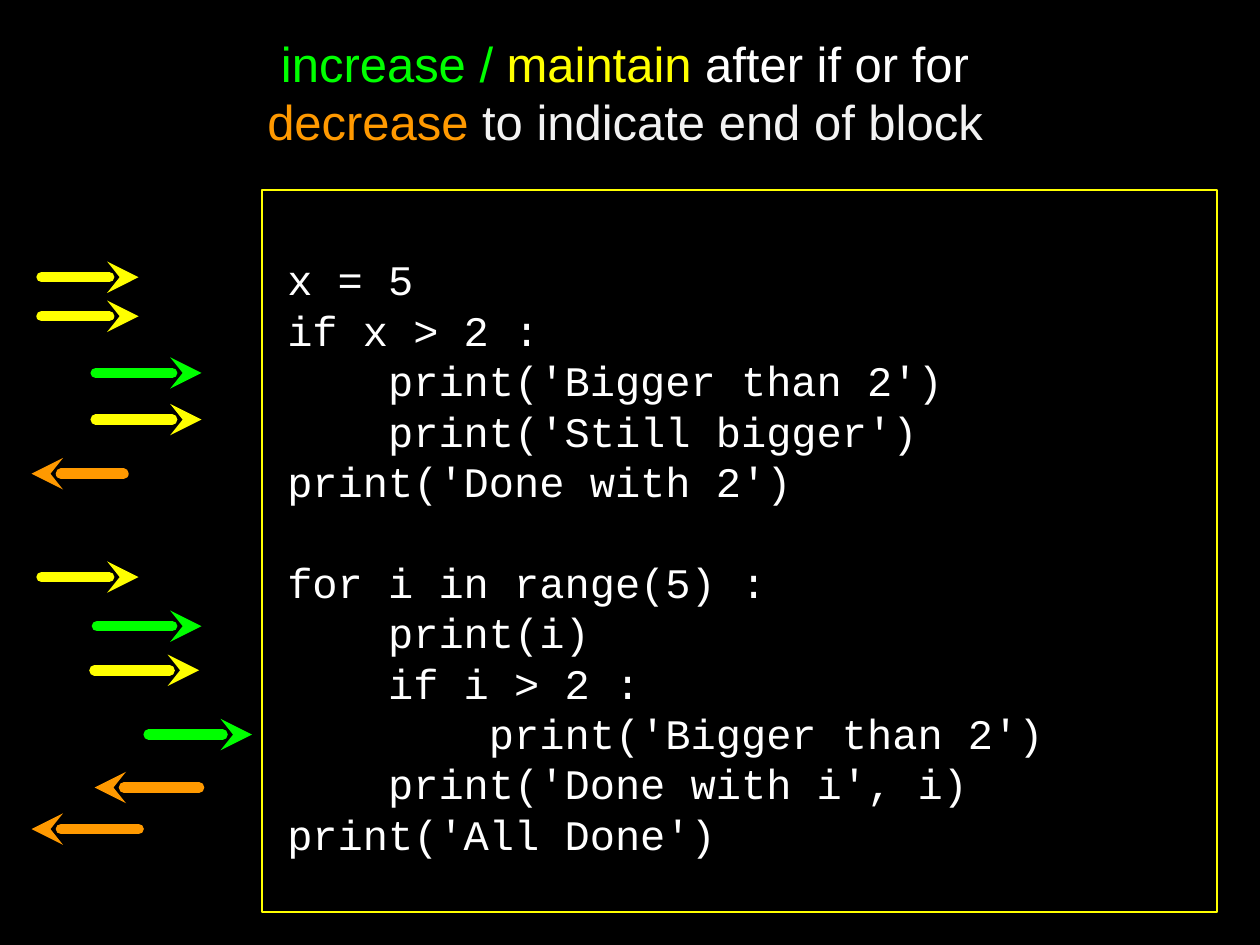
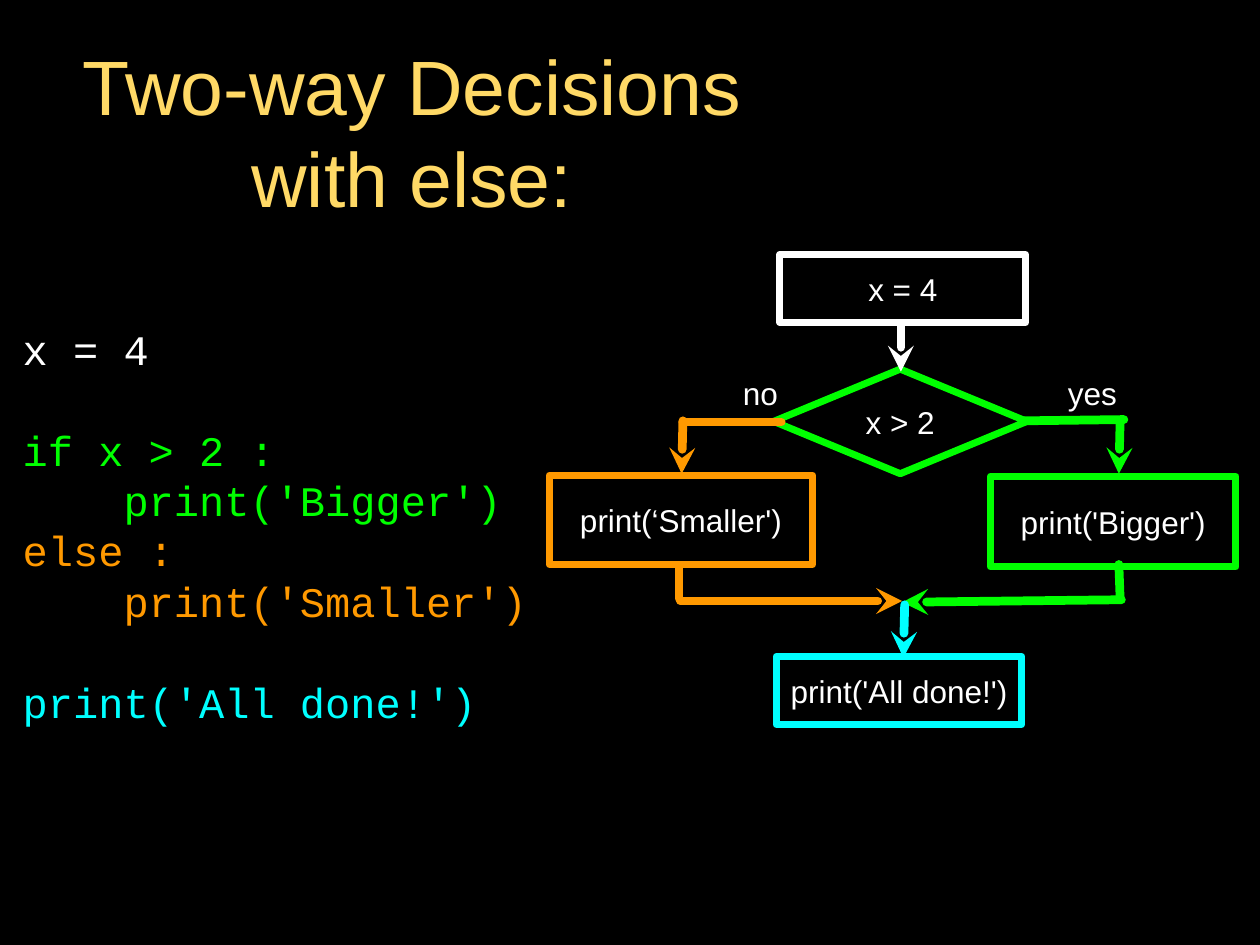
from lxml import etree
from pptx import Presentation
from pptx.dml.color import RGBColor
from pptx.enum.shapes import MSO_CONNECTOR, MSO_SHAPE
from pptx.enum.text import MSO_ANCHOR, PP_ALIGN
from pptx.oxml.ns import qn
from pptx.util import Pt

PX = 9144  # EMU in one px, 100 px to the inch
LINE_HEIGHT = 1.2
CODE_DROP = 8

BLACK = RGBColor(0x00, 0x00, 0x00)
WHITE = RGBColor(0xFF, 0xFF, 0xFF)
PALE_GREY = RGBColor(0xF3, 0xF3, 0xF3)
GOLD = RGBColor(0xFF, 0xD9, 0x66)
YELLOW = RGBColor(0xFF, 0xFF, 0x00)
GREEN = RGBColor(0x00, 0xFF, 0x00)
ORANGE = RGBColor(0xFF, 0x99, 0x00)
CYAN = RGBColor(0x00, 0xFF, 0xFF)

SANS = "Arial"
MONO = "Courier New"
LEFT = PP_ALIGN.LEFT
CENTER = PP_ALIGN.CENTER
MIDDLE = MSO_ANCHOR.MIDDLE
STRAIGHT = MSO_CONNECTOR.STRAIGHT
RECTANGLE = MSO_SHAPE.RECTANGLE
DIAMOND = MSO_SHAPE.DIAMOND


def add_text(slide, box, lines, size, font=SANS, align=CENTER, margins=(0, 0),
             preset=None, outline=None, outline_width=4):
    """Write lines of (text, colour) runs; an empty line becomes space before the next.

    With a preset the text sits in an outlined shape, otherwise in a text box.
    """
    box = [length * PX for length in box]
    if preset is None:
        shape = slide.shapes.add_textbox(*box)
    else:
        shape = slide.shapes.add_shape(preset, *box)
        shape.shadow.inherit = False
        shape.fill.background()
        shape.line.color.rgb = outline
        shape.line.width = Pt(outline_width)
    frame = shape.text_frame
    frame.word_wrap = True
    frame.vertical_anchor = MIDDLE
    frame.margin_left = frame.margin_right = 0
    frame.margin_top, frame.margin_bottom = [margin * PX for margin in margins]

    paragraph = frame.paragraphs[0]
    gap = 0
    for index, line in enumerate(lines):
        if not line:
            gap += size * LINE_HEIGHT
            continue
        if index:
            paragraph = frame.add_paragraph()
        paragraph.alignment = align
        paragraph.line_spacing = Pt(size * LINE_HEIGHT)
        if gap:
            paragraph.space_before = Pt(gap)
            gap = 0
        for text, color in line:
            run = paragraph.add_run()
            run.text = text
            run.font.name = font
            run.font.size = Pt(size)
            run.font.color.rgb = color


def add_line(slide, start, end, color, width, arrow=True):
    """Draw a round-capped line, with an arrowhead at its end if arrow is set."""
    points = [length * PX for length in (*start, *end)]
    connector = slide.shapes.add_connector(STRAIGHT, *points)
    connector.line.color.rgb = color
    connector.line.width = Pt(width)
    properties = connector.line._get_or_add_ln()
    properties.set("cap", "rnd")
    etree.SubElement(properties, qn("a:round"))
    if arrow:
        etree.SubElement(properties, qn("a:tailEnd"), type="stealth")
    etree.SubElement(connector._element.spPr, qn("a:effectLst"))


presentation = Presentation()
presentation.slide_width = 1000 * PX
presentation.slide_height = 750 * PX
slides = []
for number in range(2):
    slide = presentation.slides.add_slide(presentation.slide_layouts[6])
    slide.background.fill.solid()
    slide.background.fill.fore_color.rgb = BLACK
    slides.append(slide)
indent_slide, else_slide = slides

# Slide 1: indentation in a code listing
indent_code = """ x = 5
 if x > 2 :
     print('Bigger than 2')
     print('Still bigger')
 print('Done with 2')

 for i in range(5) :
     print(i)
     if i > 2 :
         print('Bigger than 2')
     print('Done with i', i)
 print('All Done')"""
add_text(
    indent_slide, (208, 151, 758, 573),
    [[(line, WHITE)] if line else [] for line in indent_code.split("\n")],
    24, MONO, LEFT, (CODE_DROP, 0), RECTANGLE, YELLOW, 1)

add_text(
    indent_slide, (92, 42, 808, 109),
    [[("increase / ", GREEN), ("maintain ", YELLOW), ("after if or for", WHITE)],
     [("decrease ", ORANGE), ("to indicate end of block", PALE_GREY)]],
    28, margins=(0, 47))

indent_arrows = [  # tail x, tip x, y, colour
    (33, 110, 220, YELLOW),
    (33, 110, 251, YELLOW),
    (76, 160, 296, GREEN),
    (76, 160, 333, YELLOW),
    (98, 25, 376, ORANGE),
    (33, 110, 458, YELLOW),
    (77, 160, 497, GREEN),
    (75, 158, 532, YELLOW),
    (118, 200, 583, GREEN),
    (158, 75, 625, ORANGE),
    (110, 25, 658, ORANGE),
]
for tail, tip, y, color in indent_arrows:
    add_line(indent_slide, (tail, y), (tip, y), color, 6)

# Slide 2: flowchart of if and else
add_text(else_slide, (38, 33, 578, 141), [[("Two-way Decisions with else:", GOLD)]],
         44, margins=(2, 2))

else_code = [
    [("x = 4", WHITE)],
    [],
    [("if x > 2 :", GREEN)],
    [("    print('Bigger')", GREEN)],
    [("else :", ORANGE)],
    [("    print('Smaller')", ORANGE)],
    [],
    [("print('All done!')", CYAN)],
]
add_text(else_slide, (18, 195, 415, 435), else_code, 24, MONO, LEFT, (CODE_DROP, 0))

flow_lines = [  # start, end, colour, arrow
    ((813, 334), (892, 333), GREEN, False),
    ((889, 334), (888, 376), GREEN, True),
    ((888, 448), (889, 475), GREEN, False),
    ((890, 476), (716, 478), GREEN, True),
    ((715, 257), (715, 295), WHITE, True),
    ((620, 335), (542, 335), ORANGE, False),
    ((542, 334), (541, 376), ORANGE, True),
    ((539, 449), (539, 475), ORANGE, False),
    ((540, 477), (716, 477), ORANGE, True),
    ((718, 480), (717, 522), CYAN, True),
]
nodes_below = [
    ((614, 293, 201, 83), "x > 2", DIAMOND, GREEN),
    ((786, 378, 195, 72), "print('Bigger')", RECTANGLE, GREEN),
]
nodes_above = [
    ((619, 202, 195, 54), "x = 4", RECTANGLE, WHITE),
    ((616, 521, 195, 54), "print('All done!')", RECTANGLE, CYAN),
    ((436, 377, 209, 71), "print(‘Smaller')", RECTANGLE, ORANGE),
    ((842, 296, 50, 31), "yes", None, None),
    ((588, 296, 31, 31), "no", None, None),
]
for nodes, lines in ((nodes_below, flow_lines), (nodes_above, [])):
    for box, label, preset, outline in nodes:
        add_text(else_slide, box, [[(label, WHITE)]], 18, preset=preset, outline=outline)
    for start, end, color, arrow in lines:
        add_line(else_slide, start, end, color, 5, arrow)

presentation.save("out.pptx")
